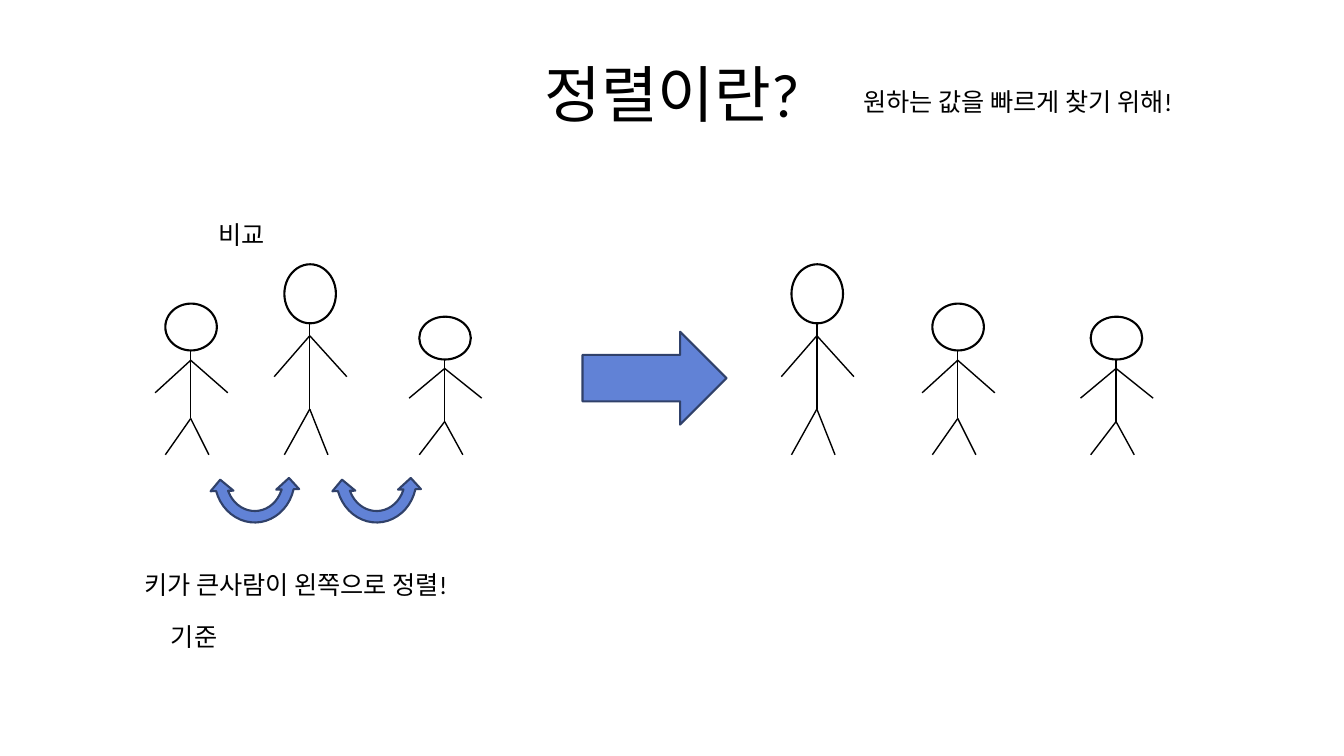
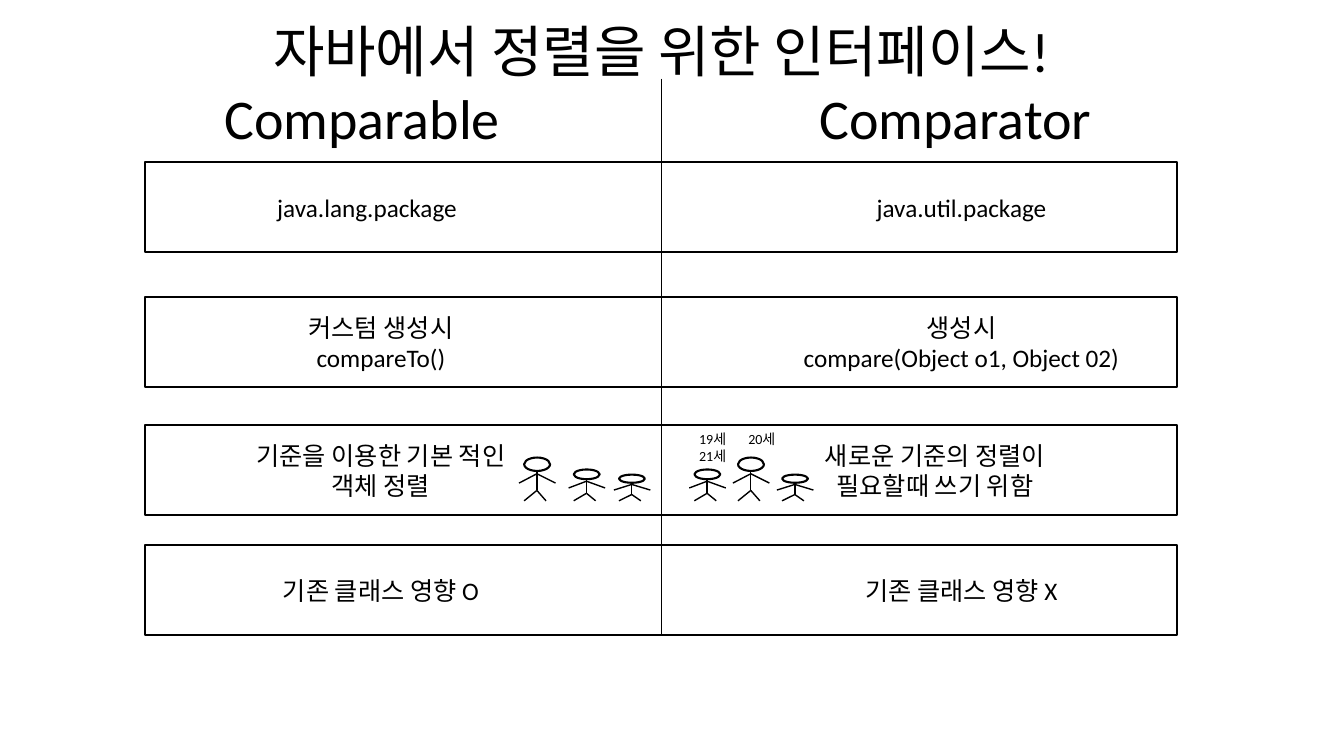
import dataclasses
import pptx
import pptx.util
import pptx.dml.color
import pptx.enum.shapes
import pptx.enum.text
import pptx.oxml

Kind = pptx.enum.shapes.MSO_SHAPE
Align = pptx.enum.text.PP_ALIGN
Mid = pptx.enum.text.MSO_ANCHOR.MIDDLE
Top = pptx.enum.text.MSO_ANCHOR.TOP
Fit = pptx.enum.text.MSO_AUTO_SIZE
Cm = pptx.util.Cm
Pt = pptx.util.Pt
Rgb = pptx.dml.color.RGBColor.from_string


@dataclasses.dataclass(frozen=True)
class Theme:
    font: str = "Calibri"
    ink: str = "000000"
    paper: str = "FFFFFF"
    blue: str = "6182D6"
    navy: str = "30416A"
    title: int = 44
    head: int = 40
    body: int = 18
    note: int = 10
    edge: float = 1.5
    thin: float = 1


LOOK = Theme()
ADULT = 1.83
CHILD = 0.92


def scale(box):
    return [Cm(side) for side in box]


def write(frame, text, size, align, anchor):
    frame.text = text
    frame.word_wrap = True
    frame.auto_size = Fit.NONE
    frame.vertical_anchor = anchor
    for para in frame.paragraphs:
        para.alignment = align
        para.font.name = LOOK.font
        para.font.size = Pt(size)
        para.font.color.rgb = Rgb(LOOK.ink)


def label(slide, box, text, size=LOOK.body, align=Align.LEFT, anchor=Top):
    area = slide.shapes.add_textbox(*scale(box))
    write(area.text_frame, text, size, align, anchor)
    return area


def head(slide, box, text, size):
    area = slide.shapes.title
    area.left, area.top, area.width, area.height = scale(box)
    write(area.text_frame, text, size, Align.CENTER, Mid)


def shape(shapes, kind, box, fill=LOOK.paper, edge=LOOK.ink):
    item = shapes.add_shape(kind, *scale(box))
    item.shadow.inherit = False
    item.fill.solid()
    item.fill.fore_color.rgb = Rgb(fill)
    item.line.color.rgb = Rgb(edge)
    item.line.width = Pt(LOOK.edge)
    return item


def line(shapes, start, end):
    item = shapes.add_connector(
        pptx.enum.shapes.MSO_CONNECTOR.STRAIGHT, *scale((*start, *end)))
    item.line.color.rgb = Rgb(LOOK.ink)
    item.line.width = Pt(LOOK.thin)
    props = item._element.spPr
    props.append(props.makeelement(pptx.oxml.ns.qn("a:effectLst"), {}))
    return item


def person(slide, box):
    left, top, wide, high = box
    group = slide.shapes.add_group_shape()

    def at(across, down):
        return left + across * wide, top + down * high

    shape(group.shapes, Kind.OVAL, (*at(0.14, 0), 0.71 * wide, 0.31 * high))
    neck, chest, hip = at(0.49, 0.31), at(0.49, 0.375), at(0.49, 0.76)
    line(group.shapes, neck, hip)
    for joint, tip in (
        (chest, at(1, 0.59)), (chest, at(0, 0.59)),
        (hip, at(0.14, 1)), (hip, at(0.74, 1)),
    ):
        line(group.shapes, joint, tip)


def crowd(slide, base, wide, people):
    for left, high in people:
        person(slide, (left, base - high, wide, high))


def swap(slide, box):
    arc = shape(slide.shapes, Kind.LEFT_RIGHT_CIRCULAR_ARROW, box,
                LOOK.blue, LOOK.navy)
    arc.rotation = 178.6
    for spot, value in enumerate((0.125, 11.42, 204.58, 119.42, 0.125)):
        arc.adjustments[spot] = value


def row(slide, box, cells):
    left, top, wide, high = box
    item = shape(slide.shapes, Kind.RECTANGLE, box)
    for text, mid, span in cells:
        label(slide, (left + mid - span / 2, top, span, high), text,
              align=Align.CENTER, anchor=Mid)
    return item


def sorting(slide):
    head(slide, (1.7, 0.76, 30.48, 3.18), "정렬이란?", LOOK.title)
    base = 11.46
    tall, mean, short = 4.8, 3.81, 3.48
    crowd(slide, base, ADULT, ((3.91, mean), (6.91, tall), (10.31, short)))
    crowd(slide, base, ADULT, ((19.69, tall), (23.24, mean), (27.23, short)))
    for left in (5.26, 8.33):
        swap(slide, (left, 10.82, 2.31, 2.49))
    shape(slide.shapes, Kind.RIGHT_ARROW, (14.68, 8.36, 3.63, 2.34),
          LOOK.blue, LOOK.navy)
    for left, top, wide, text in (
        (3.38, 14.22, 8.92, "키가 큰사람이 왼쪽으로 정렬!"),
        (21.51, 2.06, 8.92, "원하는 값을 빠르게 찾기 위해!"),
        (5.26, 5.41, 2.36, "비교"),
        (4.06, 15.54, 2.36, "기준"),
    ):
        label(slide, (left, top, wide, 1.02), text)


def contrast(slide):
    head(slide, (4.22, 0.3, 24.89, 1.93),
         "자바에서 정렬을 위한 인터페이스!", LOOK.head)
    for left, text in ((4.95, "Comparable"), (19.9, "Comparator")):
        label(slide, (left, 1.98, 8.36, 1.93), text, LOOK.head, Align.CENTER)
    left, wide, high = 3.66, 26.01, 2.26
    for top, *cells in (
        (4.09, ("java.lang.package", 5.59, 5.33),
         ("java.util.package", 20.57, 5.33)),
        (7.49, ("커스텀 생성시\ncompareTo()", 5.94, 5.33),
         ("생성시\ncompare(Object o1, Object 02)", 20.57, 8.56)),
        (10.72, ("기준을 이용한 기본 적인 객체 정렬", 5.94, 7.87),
         ("새로운 기준의 정렬이\n필요할때 쓰기 위함", 19.9, 9.68)),
        (13.74, ("기존 클래스 영향 O", 5.94, 6.5),
         ("기존 클래스 영향 X", 20.57, 6.5)),
    ):
        last = row(slide, (left, top, wide, high), cells)
    mid = left + wide / 2
    split = line(slide.shapes, (mid, 1.98), (mid, 16))
    split.end_connect(last, 2)
    base = 12.62
    tall, mean, short = 1.09, 0.79, 0.66
    crowd(slide, base, CHILD, ((14.33, mean), (13.08, tall), (15.47, short)))
    crowd(slide, base, CHILD, ((17.37, mean), (18.47, tall), (19.58, short)))
    ages = label(slide, (17.37, 10.72, 3.4, 0.66), "19세\t20세\v21세", LOOK.note)
    props = ages.text_frame.paragraphs[0]._p.get_or_add_pPr()
    tabs = props.makeelement(pptx.oxml.ns.qn("a:tabLst"), {})
    tabs.append(tabs.makeelement(
        pptx.oxml.ns.qn("a:tab"), {"pos": str(Cm(1.24)), "algn": "l"}))
    props.find(pptx.oxml.ns.qn("a:defRPr")).addprevious(tabs)


def main():
    deck = pptx.Presentation()
    deck.slide_width, deck.slide_height = scale((33.87, 19.05))
    for build in (sorting, contrast):
        build(deck.slides.add_slide(deck.slide_layouts[5]))
    deck.save("out.pptx")


if __name__ == "__main__":
    main()
